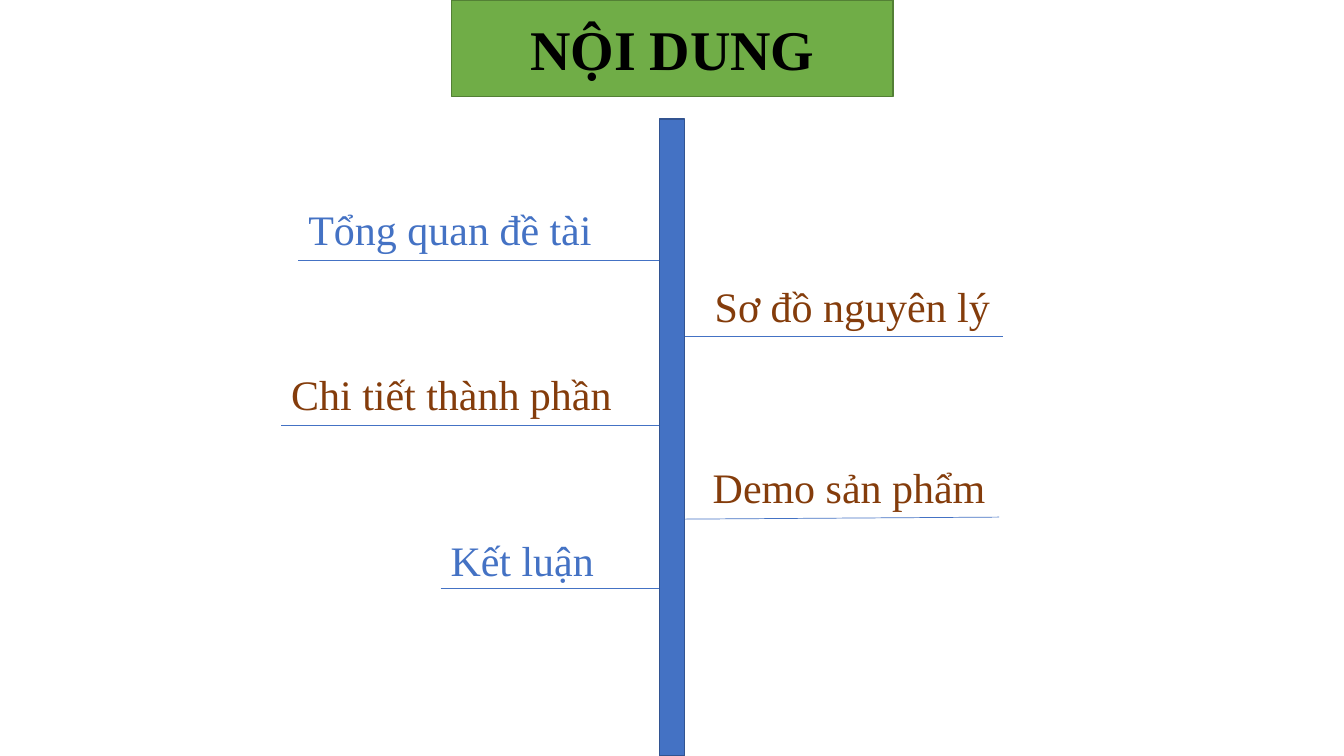
from lxml import etree
from pptx import Presentation
from pptx.dml.color import RGBColor
from pptx.enum.shapes import MSO_CONNECTOR, MSO_SHAPE
from pptx.enum.text import MSO_ANCHOR, MSO_AUTO_SIZE, PP_ALIGN
from pptx.oxml.ns import qn
from pptx.util import Inches, Pt

RECTANGLE = MSO_SHAPE.RECTANGLE
STRAIGHT = MSO_CONNECTOR.STRAIGHT
MIDDLE = MSO_ANCHOR.MIDDLE
GROW = MSO_AUTO_SIZE.SHAPE_TO_FIT_TEXT
NO_FIT = MSO_AUTO_SIZE.NONE
LEFT, CENTER = PP_ALIGN.LEFT, PP_ALIGN.CENTER

COLORS = {
    "green": "70AD47",
    "green_edge": "538035",
    "blue": "4472C4",
    "blue_edge": "325491",
    "brown": "843C0B",
    "black": "000000",
}
FONT = "Times New Roman"
SLIDE_WIDTH, SLIDE_HEIGHT = Inches(13.33), Inches(7.5)

HEADING_BOX = (33.6, 0, 32.86, 12.8)
TREE_BOX = (20.93, 15.73, 53.72, 84.27)
SPINE_LEFT, SPINE_WIDTH = 28.13, 1.88
TOPIC_HEIGHT = 8.13
TOPICS = [
    ("Tổng quan đề tài", "blue", 1.27, 10.54, 22.88, 8.13, 8.13),
    ("Sơ đồ nguyên lý", "brown", 31.51, 20.67, 22.21, 8.13, 8.13),
    ("Chi tiết thành phần", "brown", 0, 32.4, 25.66, 8.13, 8.13),
    ("Demo sản phẩm", "brown", 31.36, 44.67, 22.06, 8, 8.27),
    ("Kết luận", "blue", 11.85, 54.27, 12.3, 7.87, 7.87),
]


def across(percent):
    """Return a percentage of the slide width as a length."""
    return round(SLIDE_WIDTH * percent / 100)


def down(percent):
    """Return a percentage of the slide height as a length."""
    return round(SLIDE_HEIGHT * percent / 100)


def place(box):
    """Return the lengths of a box given in percentages of the slide."""
    left, top, width, height = box
    return across(left), down(top), across(width), down(height)


def color(name):
    """Return the named palette color."""
    return RGBColor.from_string(COLORS[name])


def write(frame, text, size, ink, bold=False, align=LEFT):
    """Write one formatted paragraph into a text frame."""
    paragraph = frame.paragraphs[0]
    paragraph.alignment = align
    run = paragraph.add_run()
    run.text = text
    run.font.name = FONT
    run.font.size = Pt(size)
    run.font.bold = bold
    run.font.color.rgb = color(ink)


def paint(block, fill, edge):
    """Give a block a solid fill and a thin edge."""
    block.fill.solid()
    block.fill.fore_color.rgb = color(fill)
    block.line.color.rgb = color(edge)
    block.line.width = Pt(1)


def add_heading(slide, box):
    """Turn the title placeholder into the green heading."""
    heading = slide.shapes.title
    heading.left, heading.top, heading.width, heading.height = place(box)
    paint(heading, "green", "green_edge")
    frame = heading.text_frame
    frame.vertical_anchor = MIDDLE
    frame.auto_size = NO_FIT
    write(frame, "NỘI DUNG", 40, "black", bold=True, align=CENTER)


def add_topic(slide, text, ink, box):
    """Add the label of one branch."""
    topic = slide.shapes.add_textbox(*place(box))
    topic.text_frame.word_wrap = False
    topic.text_frame.auto_size = GROW
    write(topic.text_frame, text, 30, ink)


def add_branch(slide, start, end):
    """Add the line that joins a label to the spine."""
    branch = slide.shapes.add_connector(
        STRAIGHT, across(start[0]), down(start[1]), across(end[0]), down(end[1]))
    branch.line.color.rgb = color("blue")
    branch.line.width = Pt(0.5)
    etree.SubElement(branch._element.spPr, qn("a:effectLst"))


def add_tree(slide, box):
    """Add the spine with its topics branching to both sides."""
    left, top, _, height = box
    spine_left = left + SPINE_LEFT
    spine = slide.shapes.add_shape(
        RECTANGLE, *place((spine_left, top, SPINE_WIDTH, height)))
    spine.shadow.inherit = False
    paint(spine, "blue", "blue_edge")
    for text, ink, offset, drop, width, outer_drop, inner_drop in TOPICS:
        topic_left, topic_top = left + offset, top + drop
        add_topic(slide, text, ink, (topic_left, topic_top, width, TOPIC_HEIGHT))
        outer = (topic_left, topic_top + outer_drop)
        inner = (spine_left, topic_top + inner_drop)
        if offset > SPINE_LEFT:
            outer = (topic_left + width, outer[1])
            inner = (spine_left + SPINE_WIDTH, inner[1])
        add_branch(slide, *sorted((outer, inner)))


def main():
    """Build the contents slide and save it."""
    deck = Presentation()
    deck.slide_width, deck.slide_height = SLIDE_WIDTH, SLIDE_HEIGHT
    slide = deck.slides.add_slide(deck.slide_layouts.get_by_name("Title Only"))
    add_heading(slide, HEADING_BOX)
    add_tree(slide, TREE_BOX)
    deck.save("out.pptx")


if __name__ == "__main__":
    main()
